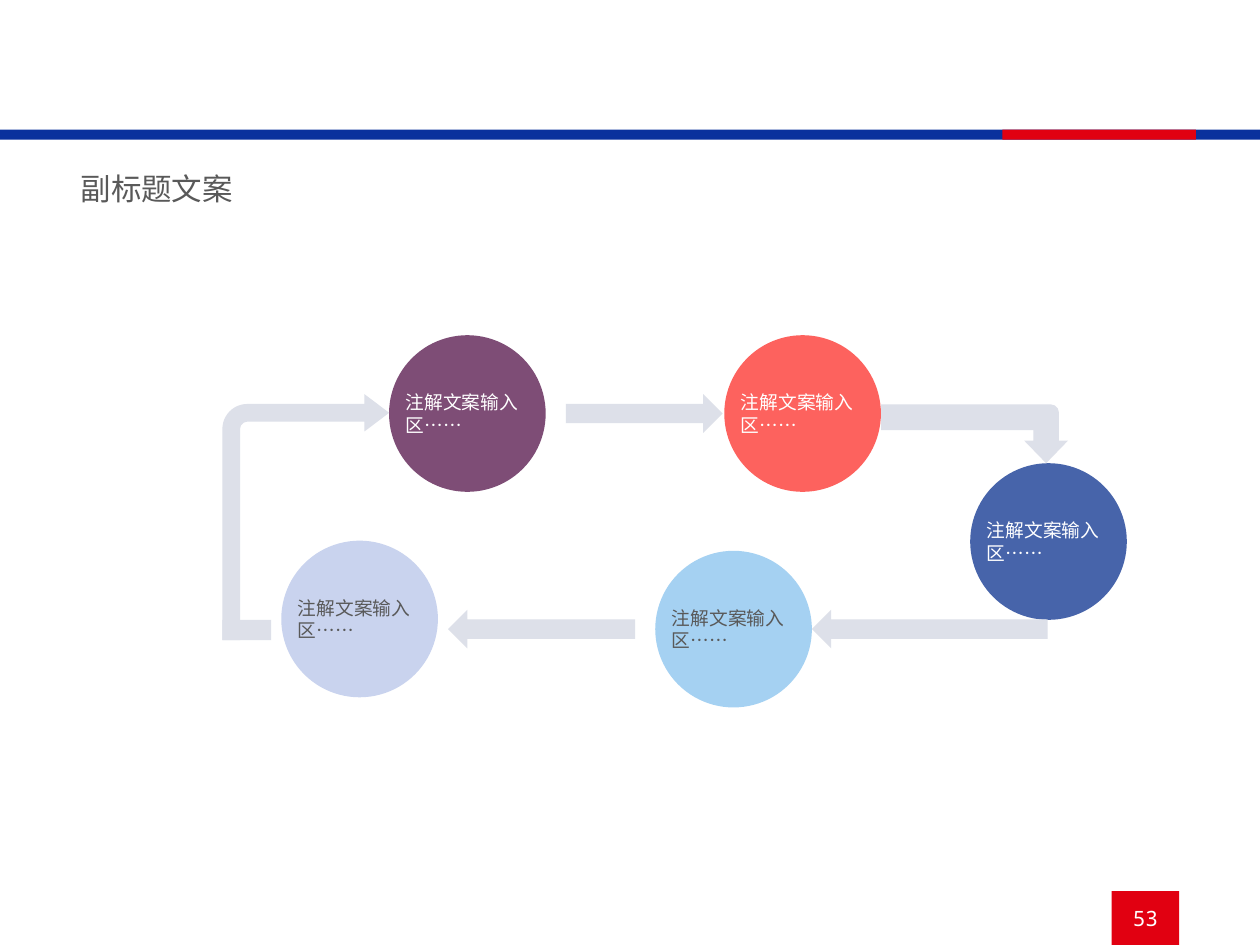
"""Build a slide with a five-step cycle of circles joined by block arrows."""
from lxml import etree
from pptx import Presentation
from pptx.dml.color import RGBColor
from pptx.enum.shapes import MSO_SHAPE
from pptx.enum.text import MSO_ANCHOR, MSO_AUTO_SIZE, PP_ALIGN
from pptx.oxml.ns import qn
from pptx.util import Inches, Pt

RECTANGLE = MSO_SHAPE.RECTANGLE
CIRCLE = MSO_SHAPE.FLOWCHART_CONNECTOR
RIGHT_ARROW = MSO_SHAPE.RIGHT_ARROW
LEFT_ARROW = MSO_SHAPE.LEFT_ARROW
BENT_ARROW = MSO_SHAPE.BENT_ARROW
TOP, MIDDLE = MSO_ANCHOR.TOP, MSO_ANCHOR.MIDDLE
LEFT, CENTER = PP_ALIGN.LEFT, PP_ALIGN.CENTER
NO_AUTOFIT = MSO_AUTO_SIZE.NONE

COLORS = {
    "blue": "0A319D", "red": "E10011", "arrow": "DDE0E9",
    "purple": "7E4D76", "coral": "FD625E", "indigo": "4764AA",
    "sky": "A5D1F2", "lavender": "C9D3EE",
    "white": "FFFFFF", "gray": "595959",
}
CHINESE_FONT = "Noto Sans CJK SC"
NUMBER_FONT = "Noto Sans Mono"
DIAMETER = 0.93
LABEL_HEIGHT = 0.37


def add_block(kind, left, top, width, height, color):
    shape = slide.shapes.add_shape(
        kind, Inches(left), Inches(top), Inches(width), Inches(height))
    shape.shadow.inherit = False
    shape.fill.solid()
    shape.fill.fore_color.rgb = RGBColor.from_string(COLORS[color])
    shape.line.fill.background()
    return shape


def write_text(shape, text, size, color, font=CHINESE_FONT, align=LEFT, anchor=MIDDLE):
    frame = shape.text_frame
    frame.word_wrap = True
    frame.auto_size = NO_AUTOFIT
    frame.vertical_anchor = anchor
    paragraph = frame.paragraphs[0]
    paragraph.alignment = align
    run = paragraph.add_run()
    run.text = text
    run.font.size = Pt(size)
    run.font.name = font
    run.font.color.rgb = RGBColor.from_string(COLORS[color])
    etree.SubElement(run.font._element, qn("a:ea"), typeface=font)


presentation = Presentation()
presentation.slide_width = Inches(7.48)
presentation.slide_height = Inches(5.61)
slide = presentation.slides.add_slide(presentation.slide_layouts[5])

title = slide.shapes.title
title.left, title.top = Inches(0.38), Inches(0.96)
title.width, title.height = Inches(1.58), Inches(0.33)
write_text(title, "副标题文案", size=13, color="gray", anchor=TOP)

add_block(RECTANGLE, 0, 0.77, 7.48, 0.06, "blue")
add_block(RECTANGLE, 5.95, 0.77, 1.15, 0.06, "red")
page_number = add_block(RECTANGLE, 6.6, 5.29, 0.4, 0.32, "red")
write_text(page_number, "53", size=9, color="white", font=NUMBER_FONT, align=CENTER)

steps = [
    (2.31, 1.99, "purple", "white"),
    (4.3, 1.99, "coral", "white"),
    (5.76, 2.75, "indigo", "white"),
    (3.89, 3.27, "sky", "gray"),
    (1.67, 3.21, "lavender", "gray"),
]
for left, top, fill, text_color in steps:
    add_block(CIRCLE, left, top, DIAMETER, DIAMETER, fill)
    label = slide.shapes.add_textbox(
        Inches(left), Inches(top + (DIAMETER - LABEL_HEIGHT) / 2),
        Inches(DIAMETER), Inches(LABEL_HEIGHT))
    write_text(label, "注解文案输入区……", size=8, color=text_color)

straight_arrows = [
    (RIGHT_ARROW, 3.36, 2.34, 0.93),
    (LEFT_ARROW, 4.82, 3.62, 1.4),
    (LEFT_ARROW, 2.66, 3.62, 1.11),
]
for kind, left, top, width in straight_arrows:
    add_block(kind, left, top, width, 0.23, "arrow")

bent_arrows = [
    (1.32, 2.34, 0.99, 1.46, 0, (0.106, 0.112, 0.148, 0.15)),
    (5.61, 2.02, 0.35, 1.11, 90, (0.437, 0.372, 0.383, 0.144)),
]
for left, top, width, height, rotation, adjustments in bent_arrows:
    arrow = add_block(BENT_ARROW, left, top, width, height, "arrow")
    arrow.rotation = rotation
    for index, value in enumerate(adjustments):
        arrow.adjustments[index] = value
add_block(RECTANGLE, 1.32, 3.68, 0.29, 0.12, "arrow")

presentation.save("out.pptx")
